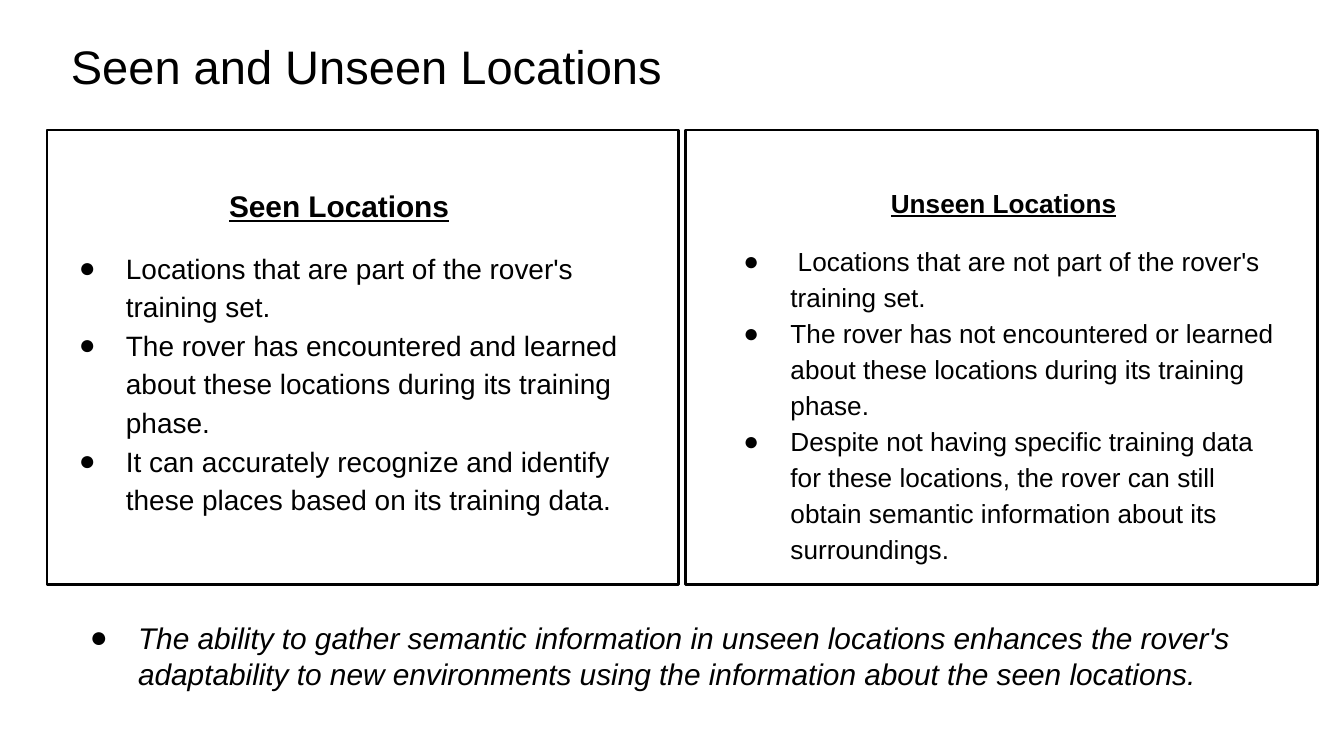
from lxml import etree
from pptx import Presentation
from pptx.dml.color import RGBColor
from pptx.enum.shapes import MSO_SHAPE
from pptx.enum.text import MSO_ANCHOR, MSO_AUTO_SIZE, PP_ALIGN
from pptx.oxml.ns import qn
from pptx.util import Cm, Pt

RECTANGLE = MSO_SHAPE.RECTANGLE
TOP = MSO_ANCHOR.TOP
NO_AUTOFIT = MSO_AUTO_SIZE.NONE
GROW = MSO_AUTO_SIZE.SHAPE_TO_FIT_TEXT
LEFT, CENTER = PP_ALIGN.LEFT, PP_ALIGN.CENTER

COLORS = {"ink": "000000", "paper": "FFFFFF"}
FONT = "Arial"
TITLE_ONLY = 5

PANELS = [
    {
        "heading": "Seen Locations",
        "heading_size": 16,
        "size": 15,
        "shift": -0.03,
        "points": [
            "Locations that are part of the rover's training set.",
            "The rover has encountered and learned about these locations "
            "during its training phase.",
            "It can accurately recognize and identify these places based on "
            "its training data.",
        ],
    },
    {
        "heading": "Unseen Locations",
        "heading_size": 14,
        "size": 14,
        "shift": 0.46,
        "points": [
            " Locations that are not part of the rover's training set.",
            "The rover has not encountered or learned about these locations "
            "during its training phase.",
            "Despite not having specific training data for these locations, "
            "the rover can still obtain semantic information about its "
            "surroundings.",
        ],
    },
]
CONCLUSION = (
    "The ability to gather semantic information in unseen locations enhances "
    "the rover's adaptability to new environments using the information about "
    "the seen locations."
)


def color(name):
    """Return the named colour."""
    return RGBColor.from_string(COLORS[name])


def prepare_frame(frame, auto_size=NO_AUTOFIT):
    """Set wrapping, anchor and equal insets of a text frame."""
    frame.word_wrap = True
    frame.auto_size = auto_size
    frame.vertical_anchor = TOP
    frame.margin_left = frame.margin_right = Cm(0.25)
    frame.margin_top = frame.margin_bottom = Cm(0.25)


def write(para, text, size, align=LEFT, bold=False, italic=False, underline=False):
    """Fill a paragraph with text in the deck's font."""
    para.text = text
    para.alignment = align
    font = para.font
    font.name, font.size = FONT, Pt(size)
    font.bold, font.italic, font.underline = bold, italic, underline
    font.color.rgb = color("ink")


def add_bullet(para, hang):
    """Give a paragraph a round bullet with a hanging indent."""
    properties = para._p.get_or_add_pPr()
    properties.set("marL", str(Cm(1.27)))
    properties.set("indent", str(-Cm(hang)))
    bullet_color = etree.Element(qn("a:buClr"))
    etree.SubElement(bullet_color, qn("a:srgbClr"), val=COLORS["ink"])
    bullet_font = etree.Element(qn("a:buFont"), typeface=FONT)
    bullet = etree.Element(qn("a:buChar"), char="●")
    position = len(properties.findall(qn("a:lnSpc"))) + len(
        properties.findall(qn("a:spcBef"))
    )
    for offset, element in enumerate((bullet_color, bullet_font, bullet)):
        properties.insert(position + offset, element)


def place_title(page, left, top, width, height):
    """Move and format the title placeholder."""
    title = page.shapes.title
    title.left, title.top = Cm(left), Cm(top)
    title.width, title.height = Cm(width), Cm(height)
    prepare_frame(title.text_frame)
    write(title.text_frame.paragraphs[0], "Seen and Unseen Locations", 25.2)


def add_panel_text(page, panel, left, top, width, height):
    """Add a panel's underlined heading and its bullet points."""
    box = page.shapes.add_textbox(
        Cm(left + panel["shift"]), Cm(top + 0.74), Cm(width - 0.84), Cm(height - 0.75)
    )
    frame = box.text_frame
    prepare_frame(frame)
    heading = frame.paragraphs[0]
    write(heading, panel["heading"], panel["heading_size"], CENTER,
          bold=True, underline=True)
    heading.line_spacing = 1.15
    for index, point in enumerate(panel["points"]):
        para = frame.add_paragraph()
        write(para, point, panel["size"])
        para.line_spacing = 1.15
        para.space_before = Pt(0 if index else 12)
        add_bullet(para, 0.89)


def add_panel_border(page, left, top, width, height):
    """Outline a panel."""
    border = page.shapes.add_shape(
        RECTANGLE, Cm(left), Cm(top), Cm(width), Cm(height)
    )
    border.shadow.inherit = False
    border.fill.background()
    border.line.color.rgb = color("ink")
    border.line.width = Pt(1.5)


def add_panels(page, left, top, width, height):
    """Place the panels side by side in equal columns."""
    gap = 0.13
    column = (width - gap * (len(PANELS) - 1)) / len(PANELS)
    lefts = [left + index * (column + gap) for index in range(len(PANELS))]
    for panel, panel_left in zip(PANELS, lefts):
        add_panel_text(page, panel, panel_left, top, column, height)
    for panel_left in lefts:
        add_panel_border(page, panel_left, top, column, height)


def add_conclusion(page, left, top, width, height):
    """Add the closing remark below the panels."""
    box = page.shapes.add_textbox(Cm(left), Cm(top), Cm(width), Cm(height))
    prepare_frame(box.text_frame, GROW)
    para = box.text_frame.paragraphs[0]
    write(para, CONCLUSION, 16, italic=True)
    add_bullet(para, 0.91)


def main():
    """Build and save the deck."""
    deck = Presentation()
    deck.slide_width, deck.slide_height = Cm(25.4), Cm(14.29)
    page = deck.slides.add_slide(deck.slide_layouts[TITLE_ONLY])
    page.background.fill.solid()
    page.background.fill.fore_color.rgb = color("paper")
    place_title(page, 1.09, 0.46, 23.67, 1.6)
    add_panels(page, 0.89, 2.46, 24.01, 8.59)
    add_conclusion(page, 1.09, 11.46, 23.27, 1.88)
    deck.save("out.pptx")


if __name__ == "__main__":
    main()
